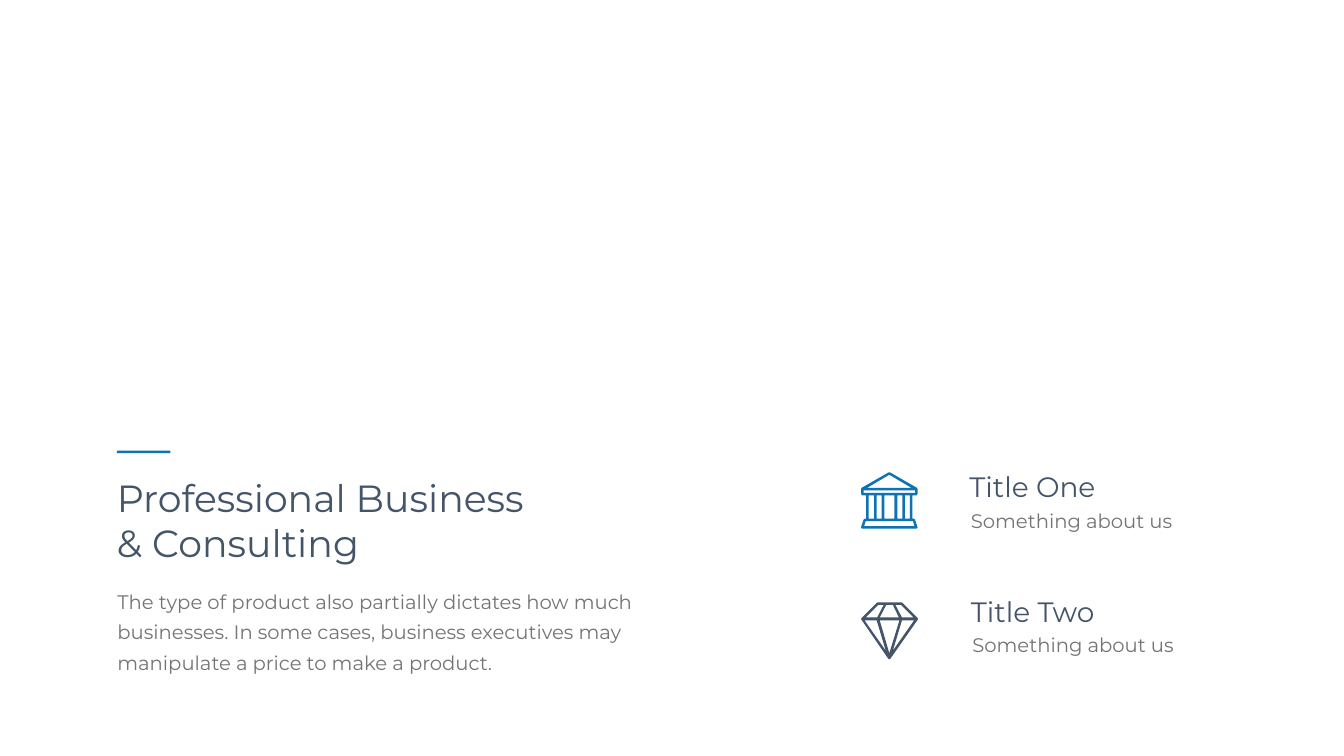
from dataclasses import dataclass

from pptx import Presentation
from pptx.dml.color import RGBColor as Rgb
from pptx.enum.shapes import MSO_SHAPE as Shape
from pptx.enum.text import MSO_ANCHOR as Anchor, MSO_AUTO_SIZE as AutoSize, PP_ALIGN as Align
from pptx.util import Inches, Pt


@dataclass(frozen=True)
class Theme:
    """Colours, font and type sizes of the slide."""
    paper: str = "FFFFFF"
    accent: str = "0D73B2"
    heading: str = "445469"
    body: str = "737572"
    font: str = "Montserrat"
    title_size: int = 54
    feature_size: int = 40
    body_size: int = 28
    feature_leading: float = 40.8
    body_leading: int = 43


@dataclass(frozen=True)
class Box:
    """A rectangle whose inner boxes are given in percent of its size."""
    left: float
    top: float
    width: float
    height: float

    def inner(self, x, y, w, h):
        """Return the inner box at the given percentages."""
        return Box(self.left + self.width * x / 100, self.top + self.height * y / 100,
                   self.width * w / 100, self.height * h / 100)

    def frame(self):
        """Return left, top, width and height as whole lengths."""
        return [round(v) for v in (self.left, self.top, self.width, self.height)]


@dataclass(frozen=True)
class Feature:
    """An icon with a heading and a line of text."""
    heading: str
    icon: list
    colour: str
    text_shift: float = 0
    icon_drop: float = 0


THEME = Theme()
ICON_UNITS = 113
FEATURE_PITCH = 16.47

COLUMN_GAPS = [(15, 26), (31, 41), (46, 66), (72, 82), (87, 97)]
TEMPLE = [
    [(110, 46), (112, 43), (112, 33), (111, 31), (57, 0), (55, 0), (1, 31), (0, 33),
     (0, 43), (2, 46), (10, 46), (10, 92), (8, 92), (5, 94), (0, 109), (0, 110),
     (2, 112), (110, 112), (112, 110), (112, 109), (107, 94), (105, 92), (102, 92), (102, 46)],
    [(5, 36), (107, 36), (107, 41), (5, 41)],
    [(103, 97), (106, 107), (6, 107), (9, 97)],
    [(56, 5), (100, 31), (12, 31)],
    *[[(a, 46), (b, 46), (b, 92), (a, 92)] for a, b in COLUMN_GAPS],
]
DIAMOND = [
    [(113, 33), (112, 31), (82, 1), (80, 0), (33, 0), (31, 1), (1, 31), (0, 33),
     (1, 35), (54, 112), (56, 113), (58, 112), (112, 35)],
    [(63, 96), (81, 36), (105, 36)],
    [(56, 101), (37, 36), (76, 36)],
    [(7, 36), (31, 36), (49, 96)],
    [(34, 5), (45, 5), (32, 30), (9, 30)],
    [(63, 5), (75, 30), (37, 30), (50, 5)],
    [(79, 5), (104, 30), (81, 30), (68, 5)],
]
FEATURES = [
    Feature("Title One", TEMPLE, THEME.accent),
    Feature("Title Two", DIAMOND, THEME.heading, text_shift=0.47, icon_drop=8.87),
]


def paint(shape, colour):
    """Give a shape a flat fill without line or shadow."""
    shape.fill.solid()
    shape.fill.fore_color.rgb = Rgb.from_string(colour)
    shape.line.fill.background()
    shape.shadow.inherit = False


def write(shape, text, size, colour, leading=None):
    """Fill a shape with one left-aligned paragraph."""
    frame = shape.text_frame
    frame.word_wrap = True
    frame.auto_size = AutoSize.NONE
    frame.vertical_anchor = Anchor.TOP
    frame.text = text
    paragraph = frame.paragraphs[0]
    paragraph.alignment = Align.LEFT
    paragraph.space_before = Pt(0)
    if leading:
        paragraph.line_spacing = Pt(leading)
    paragraph.font.name = THEME.font
    paragraph.font.size = Pt(size)
    paragraph.font.color.rgb = Rgb.from_string(colour)
    return frame


def add_icon(slide, box, contours, colour):
    """Draw an outline with its openings in the given box."""
    (start, *_), *_ = contours
    builder = slide.shapes.build_freeform(*start, scale=box.width / ICON_UNITS)
    for contour in contours:
        builder.move_to(*contour[0])
        builder.add_line_segments(contour[1:], close=True)
    paint(builder.convert_to_shape(round(box.left), round(box.top)), colour)


def add_intro(slide, box):
    """Place the accent rule, the title and the introduction."""
    rule = slide.shapes.add_shape(Shape.RECTANGLE, *box.inner(0, 0, 9.94, 1.11).frame())
    paint(rule, THEME.accent)

    title = slide.shapes.title
    title.left, title.top, title.width, title.height = box.inner(-0.94, 9.56, 83, 42.67).frame()
    write(title, "Professional Business & Consulting", THEME.title_size, THEME.heading)

    intro = slide.shapes.add_textbox(*box.inner(-2.16, 56, 102.12, 44.44).frame())
    frame = write(intro, "The type of product also partially dictates how much businesses. "
                  "In some cases, business executives may manipulate a price to make a product.",
                  THEME.body_size, THEME.body, THEME.body_leading)
    frame.margin_left = frame.margin_right = Inches(0.24)
    frame.margin_top = frame.margin_bottom = Inches(0.12)


def add_feature(slide, box, feature):
    """Place an icon with its heading and text to the right."""
    add_icon(slide, box.inner(0, feature.icon_drop, 17.82, 91.13), feature.icon, feature.colour)
    heading = slide.shapes.add_textbox(*box.inner(32.33 + feature.text_shift, 0, 63.88, 54.84).frame())
    write(heading, feature.heading, THEME.feature_size, THEME.heading, THEME.feature_leading)
    caption = slide.shapes.add_textbox(*box.inner(32.81 + feature.text_shift, 54.03, 66.72, 45.97).frame())
    write(caption, "Something about us", THEME.body_size, THEME.body)


def main():
    """Build the slide and save it."""
    deck = Presentation()
    deck.slide_width, deck.slide_height = Inches(26.66), Inches(15)
    slide = deck.slides.add_slide(deck.slide_layouts[5])
    slide.background.fill.solid()
    slide.background.fill.fore_color.rgb = Rgb.from_string(THEME.paper)
    page = Box(0, 0, deck.slide_width, deck.slide_height)

    add_intro(slide, page.inner(8.7, 59.6, 40, 30))
    for row, feature in enumerate(FEATURES):
        add_feature(slide, page.inner(64.07, 62.47 + row * FEATURE_PITCH, 23.78, 8.27), feature)
    deck.save("out.pptx")


if __name__ == "__main__":
    main()
